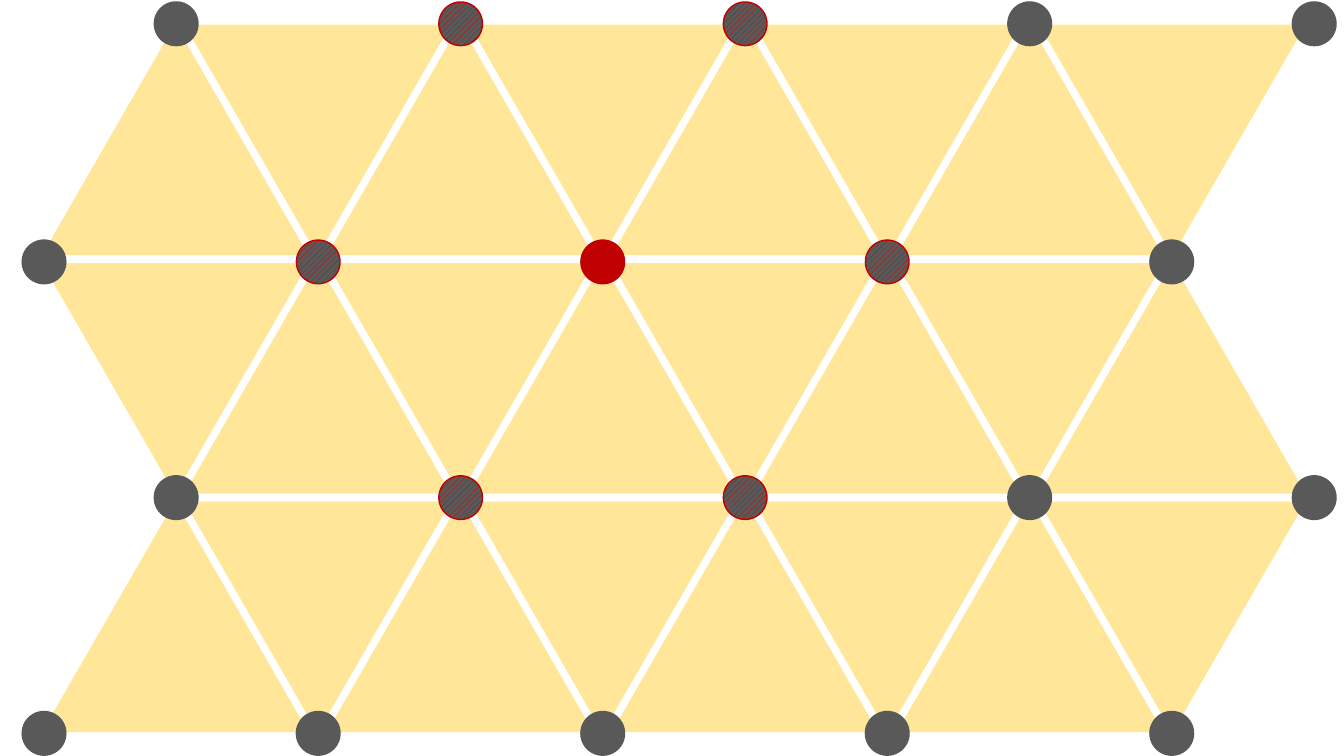
from pptx import Presentation
from pptx.dml.color import RGBColor
from pptx.enum.dml import MSO_PATTERN
from pptx.enum.shapes import MSO_SHAPE
from pptx.util import Cm, Pt

COLOURS = {"tile": "FFE699", "node": "595959", "centre": "C00000"}
TILE_ROWS, TILE_COLUMNS = 3, 8
TILE_WIDTH, TILE_HEIGHT = 6.65, 5.77
COLUMN_STEP, ROW_STEP = 3.59, 6.01
NODE_SIZE, NODE_STEP = 1.1, 7.17
EDGE_SHIFT = 0.26
NODE_ROWS = [
    (3.59, 0.05, ["node", "neighbour", "neighbour", "node", "node"]),
    (0, 6.05, ["node", "neighbour", "centre", "neighbour", "node"]),
    (3.59, 11.99, ["node", "neighbour", "neighbour", "node", "node"]),
    (0, 17.93, ["node"] * 5),
]


def colour(name):
    return RGBColor.from_string(COLOURS[name])


def add_figure(page, kind, left, top, width, height, fill, line):
    figure = page.shapes.add_shape(kind, Cm(left), Cm(top), Cm(width), Cm(height))
    figure.shadow.inherit = False
    figure.fill.solid()
    figure.fill.fore_color.rgb = colour(fill)
    figure.line.color.rgb = colour(line)
    figure.line.width = Pt(1)
    return figure


def add_tiles(page, left, top):
    for row in range(TILE_ROWS):
        for column in range(TILE_COLUMNS):
            tile = add_figure(
                page, MSO_SHAPE.ISOSCELES_TRIANGLE,
                left + column * COLUMN_STEP, top + row * ROW_STEP,
                TILE_WIDTH, TILE_HEIGHT, "tile", "tile")
            if (row + column) % 2:
                tile.rotation = 180


def add_node(page, left, top, role):
    hatched = role == "neighbour"
    fill = "node" if hatched else role
    line = "centre" if hatched else role
    node = add_figure(page, MSO_SHAPE.OVAL, left, top, NODE_SIZE, NODE_SIZE, fill, line)
    if hatched:
        node.fill.patterned()
        node.fill.pattern = MSO_PATTERN.WIDE_UPWARD_DIAGONAL
        node.fill.fore_color.rgb = colour("centre")
        node.fill.back_color.rgb = colour("node")


def add_nodes(page, left, top):
    for indent, row_top, roles in NODE_ROWS:
        for column, role in enumerate(roles):
            shift = EDGE_SHIFT if indent + column == 0 else 0
            add_node(page, left + indent + column * NODE_STEP + shift, top + row_top, role)


deck = Presentation()
deck.slide_width, deck.slide_height = Cm(33.87), Cm(19.05)
page = deck.slides.add_slide(deck.slide_layouts[6])
add_tiles(page, 1.09, 0.64)
add_nodes(page, 0.3, 0)
deck.save("out.pptx")
